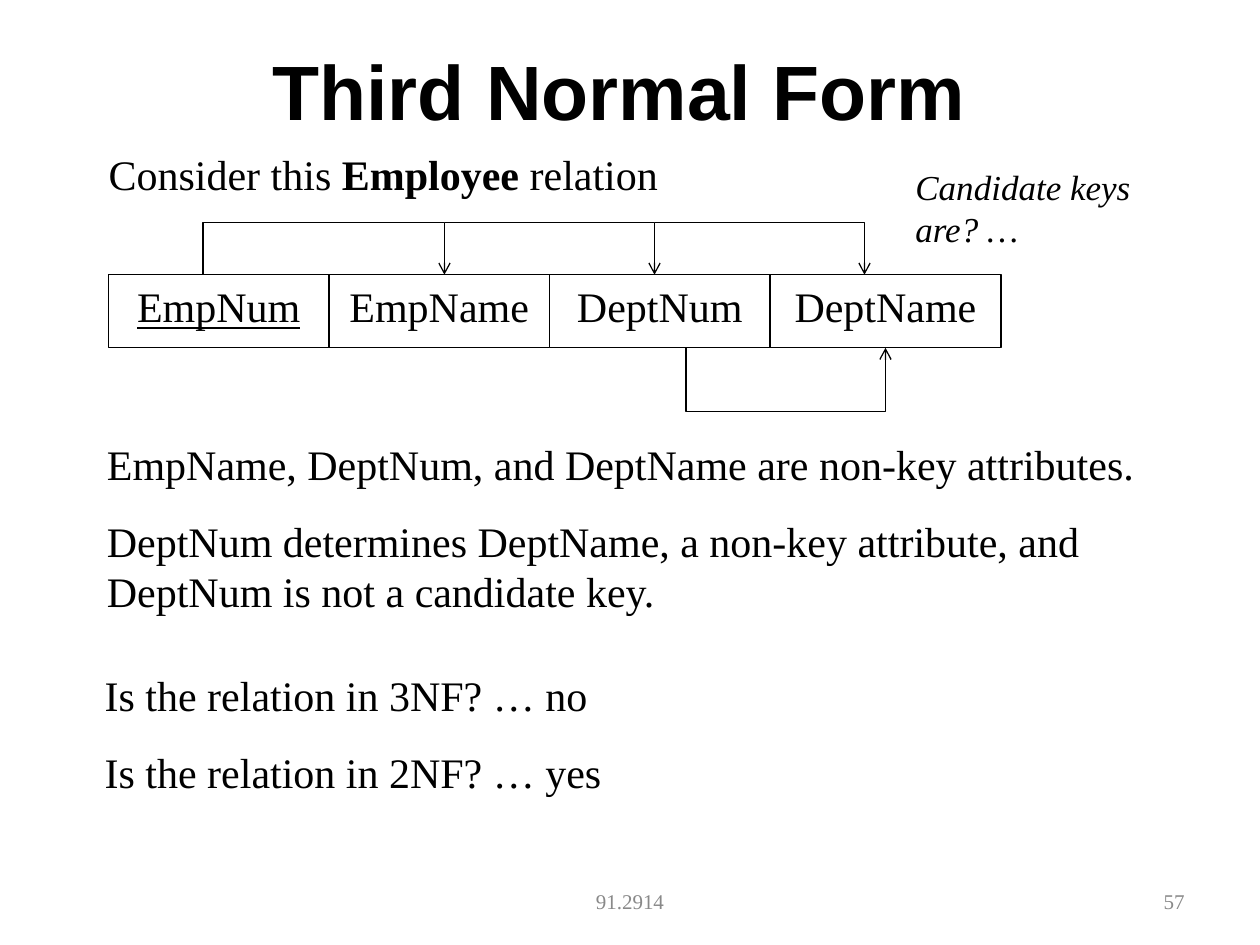
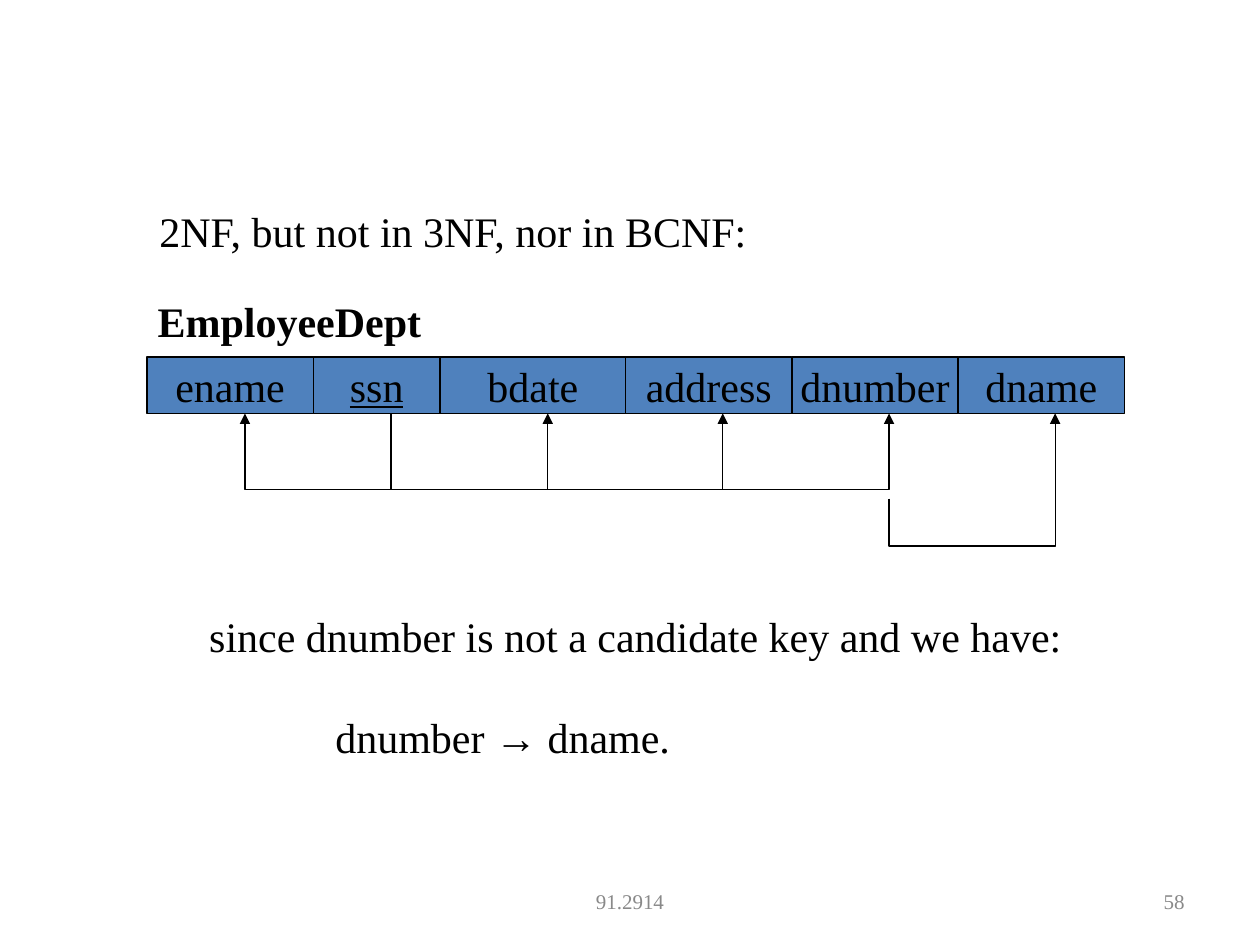
"""Build two slides on third normal form."""
import pptx
import pptx.util
import pptx.dml.color
import pptx.enum.text
import pptx.oxml
import pptx.oxml.ns

Pt = pptx.util.Pt
ALIGN = pptx.enum.text.PP_ALIGN
ANCHOR = pptx.enum.text.MSO_ANCHOR
RECT = pptx.enum.shapes.MSO_SHAPE.RECTANGLE
HUES = {"ink": "000000", "foot": "898989", "paper": "FFFFFF", "blue": "4F81BD"}
TONES = {name: pptx.dml.color.RGBColor.from_string(hue) for name, hue in HUES.items()}
BASE = {"name": "Times New Roman", "size": Pt(24)}
BOLD = {"bold": True}
KEY = {"underline": True}


def write(shape, paras, look={}, para={}, frame={}, tone="ink"):
    text = shape.text_frame
    for name, value in {"word_wrap": True, **frame}.items():
        setattr(text, name, value)
    for spot, runs in enumerate(paras):
        line = text.add_paragraph() if spot else text.paragraphs[0]
        for name, value in para.items():
            setattr(line, name, value)
        for words, extra in runs:
            run = line.add_run()
            run.text = words
            for name, value in {**BASE, **look, **extra}.items():
                setattr(run.font, name, value)
            run.font.color.rgb = TONES[tone]


def wire(slide, points, head):
    path = [(Pt(x), Pt(y)) for x, y in points]
    pen = slide.shapes.build_freeform(*path[0], scale=1.0)
    pen.add_line_segments(path[1:], close=False)
    shape = pen.convert_to_shape()
    shape.shadow.inherit = False
    shape.fill.background()
    shape.line.color.rgb = TONES["ink"]
    shape.line.width = Pt(0.75)
    tip = pptx.oxml.parse_xml(f'<a:tailEnd {pptx.oxml.ns.nsdecls("a")} type="{head}"/>')
    shape.line._get_or_add_ln().append(tip)


deck = pptx.Presentation()
deck.slide_width, deck.slide_height = Pt(720), Pt(540)
third = deck.slides.add_slide(deck.slide_layouts[5])
second = deck.slides.add_slide(deck.slide_layouts[6])

title = third.shapes.title
for name, value in zip(("left", "top", "width", "height"), (30, 6, 648, 90)):
    setattr(title, name, Pt(value))
write(title, [[("Third Normal Form", {})]], {"name": "Arial", "size": Pt(44), "bold": True},
      {"alignment": ALIGN.CENTER}, {"vertical_anchor": ANCHOR.MIDDLE})

for slide, page in ((third, "57"), (second, "58")):
    for left, width, words, side in ((246, 228, "91.2914", ALIGN.CENTER),
                                     (516, 168, page, ALIGN.RIGHT)):
        box = slide.shapes.add_textbox(Pt(left), Pt(500.5), Pt(width), Pt(28.75))
        write(box, [[(words, {})]], {"size": Pt(12)}, {"alignment": side},
              {"vertical_anchor": ANCHOR.MIDDLE}, "foot")

rows = [
    (third, 62, 157, 41.75, "paper", ANCHOR.TOP,
     [("EmpNum", 126, KEY), ("EmpName", 126, {}), ("DeptNum", 126, {}),
      ("DeptName", 132, {})]),
    (second, 84, 204, 32.25, "blue", ANCHOR.MIDDLE,
     [("ename", 95, {}), ("ssn", 72.5, KEY), ("bdate", 106, {}),
      ("address", 95, {}), ("dnumber", 95, {}), ("dname", 95, {})]),
]
for slide, left, top, height, fill, anchor, cells in rows:
    for words, width, look in cells:
        cell = slide.shapes.add_shape(RECT, Pt(left), Pt(top), Pt(width), Pt(height))
        cell.shadow.inherit = False
        cell.fill.solid()
        cell.fill.fore_color.rgb = TONES[fill]
        cell.line.color.rgb = TONES["ink"]
        cell.line.width = Pt(0.75)
        write(cell, [[(words, look)]], {}, {"alignment": ALIGN.CENTER},
              {"word_wrap": False, "vertical_anchor": anchor})
        left += width

wire(third, [(116, 157), (116, 127), (254, 127), (254, 157)], "arrow")
for x in (374, 494):
    wire(third, [(x - 120, 127), (x, 127), (x, 157)], "arrow")
wire(third, [(392, 198.75), (392, 235), (506, 235), (506, 198.75)], "arrow")

for x in (140, 313, 508, 413):
    wire(second, [(223.5, 236.25), (223.5, 279.75), (x, 279.75), (x, 236.25)], "triangle")
wire(second, [(508, 285), (508, 312), (603, 312), (603, 236.25)], "triangle")

notes = [
    (third, (54, 247, 624, 109), 15, {},
     [[("EmpName, DeptNum, and DeptName are non-key attributes.", {})],
      [("DeptNum determines DeptName, a non-key attribute, and "
        "DeptNum is not a candidate key.", {})]]),
    (third, (55, 81.25, 360, 36), 15, {},
     [[("Consider this", {}), (" Employee ", BOLD), ("relation", {})]]),
    (third, (52.75, 379, 319, 80), 15, {},
     [[("Is the relation in 3NF? … no", {})], [("Is the relation in 2NF? … yes", {})]]),
    (third, (516, 91, 150, 55.5), 12.5, {"size": Pt(20), "italic": True},
     [[("Candidate keys are? …", {})]]),
    (second, (84, 114, 354, 36), 0, {}, [[("2NF, but not in 3NF, nor in BCNF:", {})]]),
    (second, (83, 165.5, 186, 36), 15, BOLD, [[("EmployeeDept", {})]]),
    (second, (112.5, 345.5, 520, 36), 0, {},
     [[("since dnumber is not a candidate key and we have:", {})]]),
    (second, (184.5, 403, 300, 36), 0, {},
     [[("dnumber ", {}), ("→", {"name": "Arial"}), (" dname.", {})]]),
]
for slide, spot, gap, look, paras in notes:
    box = slide.shapes.add_textbox(*map(Pt, spot))
    write(box, paras, look, {"space_before": Pt(gap)})

deck.save("out.pptx")
